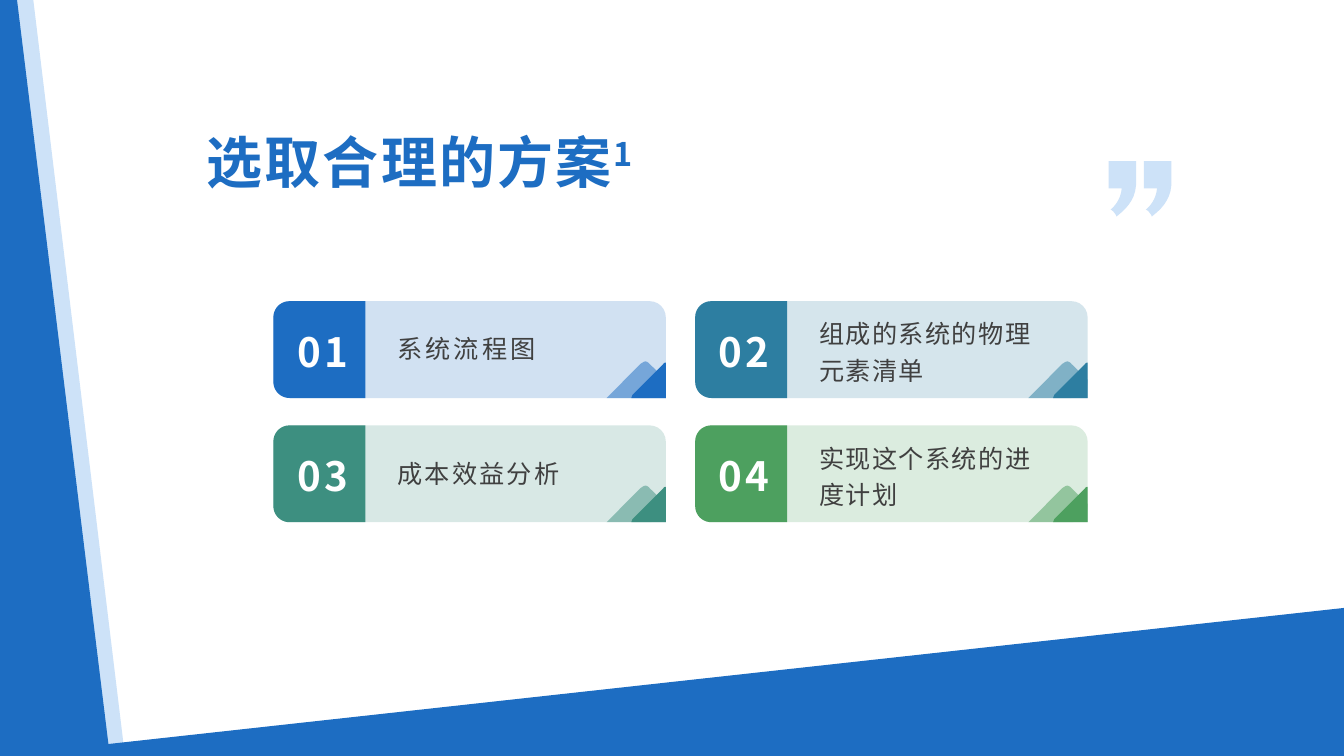
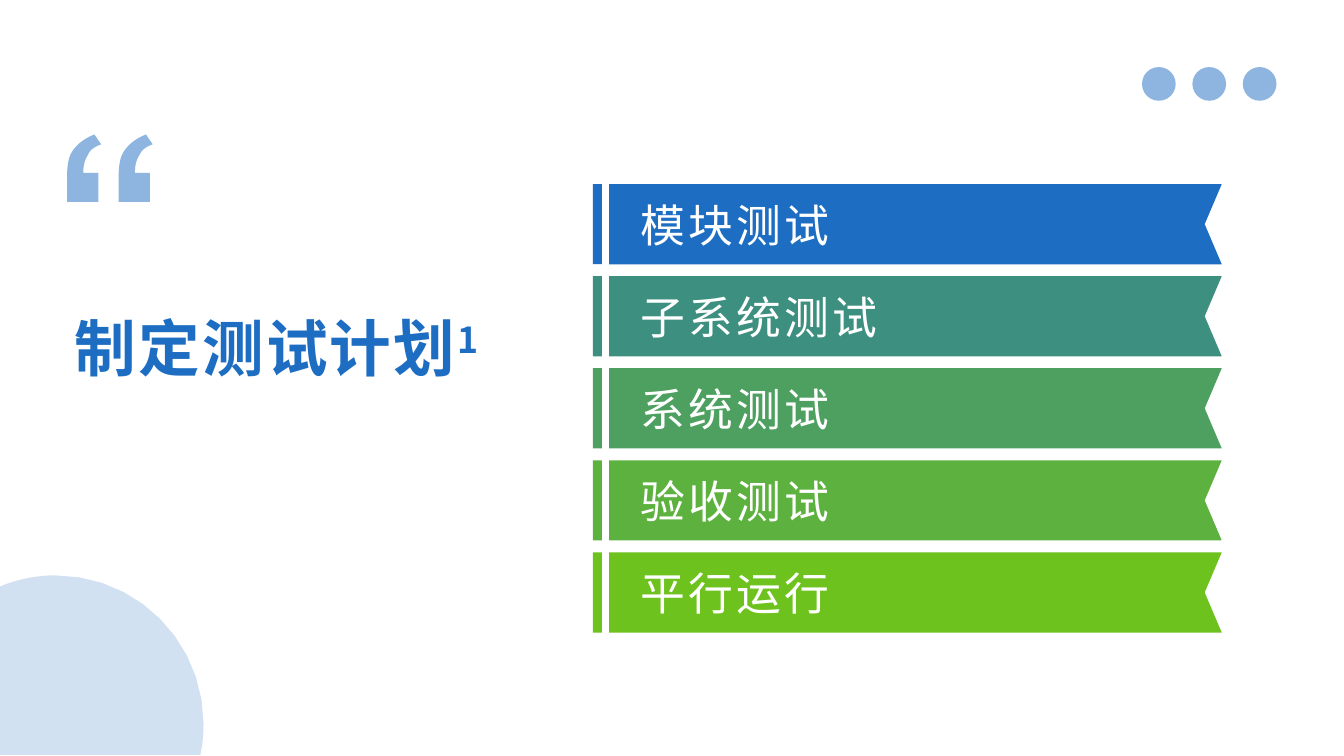
from lxml.etree import SubElement
from pptx import Presentation
from pptx.dml.color import RGBColor
from pptx.enum.shapes import MSO_SHAPE
from pptx.enum.text import MSO_ANCHOR, MSO_AUTO_SIZE, PP_ALIGN
from pptx.oxml.ns import qn
from pptx.util import Cm, Pt

BLUE = RGBColor(0x1D, 0x6D, 0xC2)
PALE_BLUE = RGBColor(0xCD, 0xE2, 0xF8)
STEEL = RGBColor(0x2D, 0x7E, 0xA1)
TEAL = RGBColor(0x3D, 0x8F, 0x80)
GREEN = RGBColor(0x4D, 0xA0, 0x5F)
LEAF = RGBColor(0x5D, 0xB1, 0x3E)
LIME = RGBColor(0x6D, 0xC2, 0x1D)
GRAY = RGBColor(0x40, 0x40, 0x40)
WHITE = RGBColor(0xFF, 0xFF, 0xFF)

FONT = "Noto Sans CJK SC"
SLIDE_WIDTH, SLIDE_HEIGHT = 33.87, 19.05
CURVE_STEPS = 10

CLOSING_QUOTE = [
    (0.2, 1.4), (0.18, 1.35), (0.15, 1.32, 0.13, 1.27, 0.08, 1.24),
    (0.05, 1.22), (0.05, 1.22, 0.3, 1.04, 0.33, 0.69), (0, 0.69), (0, 0),
    (0.69, 0), (0.69, 0.61), (0.66, 1.12, 0.2, 1.37, 0.2, 1.4),
]
OPENING_QUOTE = [
    (0.79, 0.97), (0.79, 1.7), (0, 1.7), (0, 1.12),
    (0, 0.81, 0.03, 0.58, 0.13, 0.43), (0.25, 0.25, 0.43, 0.1, 0.69, 0),
    (0.86, 0.25), (0.71, 0.3, 0.58, 0.38, 0.53, 0.51),
    (0.46, 0.61, 0.41, 0.76, 0.41, 0.97),
]
BACK_PEAK = [
    (-0.51, -0.92), (-0.48, -0.92, -0.43, -0.89, -0.41, -0.86),
    (0, -0.46), (0, 0), (-1.49, 0), (-0.64, -0.86),
    (-0.58, -0.89, -0.56, -0.92, -0.51, -0.92),
]
FRONT_PEAK = [
    (0, -0.89), (0, 0), (-0.87, 0), (-0.84, -0.08), (-0.06, -0.86),
    (-0.05, -0.88, -0.03, -0.89, 0, -0.89),
]
CORNER_DISC = [
    (1.4, 0), (3.46, 0, 5.13, 1.68, 5.13, 3.74),
    (5.13, 3.99, 5.11, 4.25, 5.05, 4.52), (0, 4.52), (0, 0.28),
    (0.43, 0.1, 0.91, 0, 1.4, 0),
]


def paint(shape, color, opacity=100):
    shape.shadow.inherit = False
    shape.fill.solid()
    shape.fill.fore_color.rgb = color
    shape.line.fill.background()
    if opacity < 100:
        srgb = shape._element.spPr.find(qn("a:solidFill")).find(qn("a:srgbClr"))
        SubElement(srgb, qn("a:alpha")).set("val", str(opacity * 1000))


def preset(slide, kind, box, color, opacity=100):
    shape = slide.shapes.add_shape(kind, *map(Cm, box))
    paint(shape, color, opacity)
    return shape


def flatten(steps):
    points = [steps[0]]
    for step in steps[1:]:
        if len(step) == 2:
            points.append(step)
            continue
        start, (ax, ay, bx, by, ex, ey) = points[-1], step
        for i in range(1, CURVE_STEPS + 1):
            t = i / CURVE_STEPS
            u = 1 - t
            weights = (u ** 3, 3 * u * u * t, 3 * u * t * t, t ** 3)
            points.append(tuple(
                sum(w * v for w, v in zip(weights, values))
                for values in ((start[0], ax, bx, ex), (start[1], ay, by, ey))))
    return points


def outline(slide, left, top, steps, color, opacity=100):
    points = [(Cm(left + x), Cm(top + y)) for x, y in flatten(steps)]
    builder = slide.shapes.build_freeform(*points[0])
    builder.add_line_segments(points[1:], close=True)
    paint(builder.convert_to_shape(), color, opacity)


def place(holder, box, **frame_values):
    for name, value in zip(("left", "top", "width", "height"), box):
        setattr(holder, name, Cm(value))
    values = {"word_wrap": True, "auto_size": MSO_AUTO_SIZE.NONE,
              "vertical_anchor": MSO_ANCHOR.MIDDLE, **frame_values}
    for name, value in values.items():
        setattr(holder.text_frame, name, value)


def write(paragraph, text, size, color, spacing, bold=False, raised=0, **layout):
    values = {"alignment": PP_ALIGN.LEFT, "space_before": Pt(0), **layout}
    for name, value in values.items():
        setattr(paragraph, name, value)
    properties = paragraph._p.get_or_add_pPr()
    properties.set("marL", "0")
    properties.set("indent", "0")
    if properties.find(qn("a:buNone")) is None:
        SubElement(properties, qn("a:buNone"))
    run = paragraph.add_run()
    run.text = text
    for name, value in {"name": FONT, "size": Pt(size), "bold": bold}.items():
        setattr(run.font, name, value)
    run.font.color.rgb = color
    character = run._r.get_or_add_rPr()
    character.set("spc", str(round(spacing * 100)))
    if raised:
        character.set("baseline", str(raised * 1000))
    SubElement(character, qn("a:ea")).set("typeface", FONT)


def bring_to_front(slide, holder):
    slide.shapes._spTree.append(holder._element)


def heading(slide, box, text, size):
    title = slide.shapes.title
    place(title, box, margin_left=Cm(0.18), margin_right=Cm(0.18),
          margin_top=Cm(0.08), margin_bottom=Cm(0.08))
    paragraph = title.text_frame.paragraphs[0]
    for part, raised in ((text, 0), ("1", 30)):
        write(paragraph, part, size, BLUE, 1.6, bold=True, raised=raised)


def quote_marks(slide, left, top, steps, pitch, color, opacity=100):
    for i in range(2):
        outline(slide, left + i * pitch, top, steps, color, opacity)


def slanted_frame(slide, width, height):
    outline(slide, 0, 0, [(0.41, 0), (0.84, 0), (3.15, height), (0.41, height)],
            PALE_BLUE)
    floor = preset(slide, MSO_SHAPE.RIGHT_TRIANGLE,
                   (0, height - 3.73, width, 3.73), BLUE)
    floor._element.spPr.find(qn("a:xfrm")).set("flipH", "1")
    outline(slide, 0, 0, [(0, 0), (0.43, 0), (2.77, height), (0, height)], BLUE)


def card(slide, box, number, content, holder, color, spacing, line_spacing):
    left, top, width, height = box
    preset(slide, MSO_SHAPE.ROUNDED_RECTANGLE, box, color, 20)
    outline(slide, left + width, top + height, BACK_PEAK, color, 50)
    outline(slide, left + width, top + height, FRONT_PEAK, color)
    r, k, tab = 0.41, 0.18, 2.32
    outline(slide, left, top, [
        (r, 0), (tab, 0), (tab, height), (r, height),
        (k, height, 0, height - k, 0, height - r),
        (0, r), (0, k, k, 0, r, 0)], color)
    place(holder, (left + 2.87, top + 0.08, 6.2, height - 0.2))
    write(holder.text_frame.paragraphs[0], content, 18, GRAY, spacing,
          line_spacing=line_spacing, space_after=Pt(8))
    bring_to_front(slide, holder)
    counter = slide.shapes.add_textbox(0, 0, 0, 0)
    place(counter, (left + 0.25, top + 0.41, 1.98, 1.7))
    write(counter.text_frame.paragraphs[0], number, 28.8, WHITE, 2.4, bold=True,
          alignment=PP_ALIGN.CENTER, space_after=Pt(8))


def card_grid(slide, left, top, cards):
    holders = list(slide.placeholders)[1:]
    for i, (values, holder) in enumerate(zip(cards, holders)):
        content, color, spacing, line_spacing = values
        row, column = divmod(i, 2)
        box = (left + column * 10.63, top + row * 3.13, 9.89, 2.44)
        card(slide, box, f"{i + 1:02}", content, holder, color, spacing,
             line_spacing)


def banner_list(slide, box, banners):
    left, top, width, height = box
    pitch, bar, notch = 2.32, 2.02, 0.43
    body = slide.placeholders[1]
    place(body, (left + 0.94, top - 0.63, width - 2.1, height + 0.7),
          vertical_anchor=MSO_ANCHOR.TOP, margin_top=0, margin_bottom=0)
    ribbon = width - 0.41
    for i, (label, color) in enumerate(banners):
        y = top + i * pitch
        preset(slide, MSO_SHAPE.RECTANGLE, (left, y, 0.23, bar), color)
        outline(slide, left + 0.41, y, [
            (0, 0), (ribbon, 0), (ribbon - notch, bar / 2), (ribbon, bar),
            (0, bar)], color)
        frame = body.text_frame
        paragraph = frame.add_paragraph() if i else frame.paragraphs[0]
        write(paragraph, label, 32, WHITE, 2.4, line_spacing=Cm(pitch),
              space_after=Pt(0))
    bring_to_front(slide, body)


def dot_row(slide, left, top):
    for i in range(3):
        preset(slide, MSO_SHAPE.OVAL, (left + i * 1.27, top, 0.85, 0.85), BLUE, 50)


def scheme_slide(deck):
    slide = deck.slides.add_slide(deck.slide_layouts[4])
    slanted_frame(slide, SLIDE_WIDTH, SLIDE_HEIGHT)
    quote_marks(slide, 27.94, 4.06, CLOSING_QUOTE, 0.89, PALE_BLUE)
    heading(slide, (5.03, 3.07, 22.02, 1.98), "选取合理的方案", 40)
    card_grid(slide, 6.89, 7.59, [
        ("系统流程图", BLUE, 2.2, 1.0),
        ("组成的系统的物理元素清单", STEEL, 1, 1.2),
        ("成本效益分析", TEAL, 1.6, 1.0),
        ("实现这个系统的进度计划", GREEN, 1, 1.2),
    ])


def test_plan_slide(deck):
    slide = deck.slides.add_slide(deck.slide_layouts[1])
    dot_row(slide, 28.78, 1.69)
    outline(slide, 0, 14.5, CORNER_DISC, BLUE, 20)
    quote_marks(slide, 1.69, 3.39, OPENING_QUOTE, 1.3, BLUE, 50)
    heading(slide, (1.7, 5.92, 11.2, 5.66), "制定测试计划", 44)
    banner_list(slide, (14.94, 4.64, 15.85, 11.3), [
        ("模块测试", BLUE),
        ("子系统测试", TEAL),
        ("系统测试", GREEN),
        ("验收测试", LEAF),
        ("平行运行", LIME),
    ])


def main():
    deck = Presentation()
    deck.slide_width, deck.slide_height = Cm(SLIDE_WIDTH), Cm(SLIDE_HEIGHT)
    scheme_slide(deck)
    test_plan_slide(deck)
    deck.save("out.pptx")


if __name__ == "__main__":
    main()
